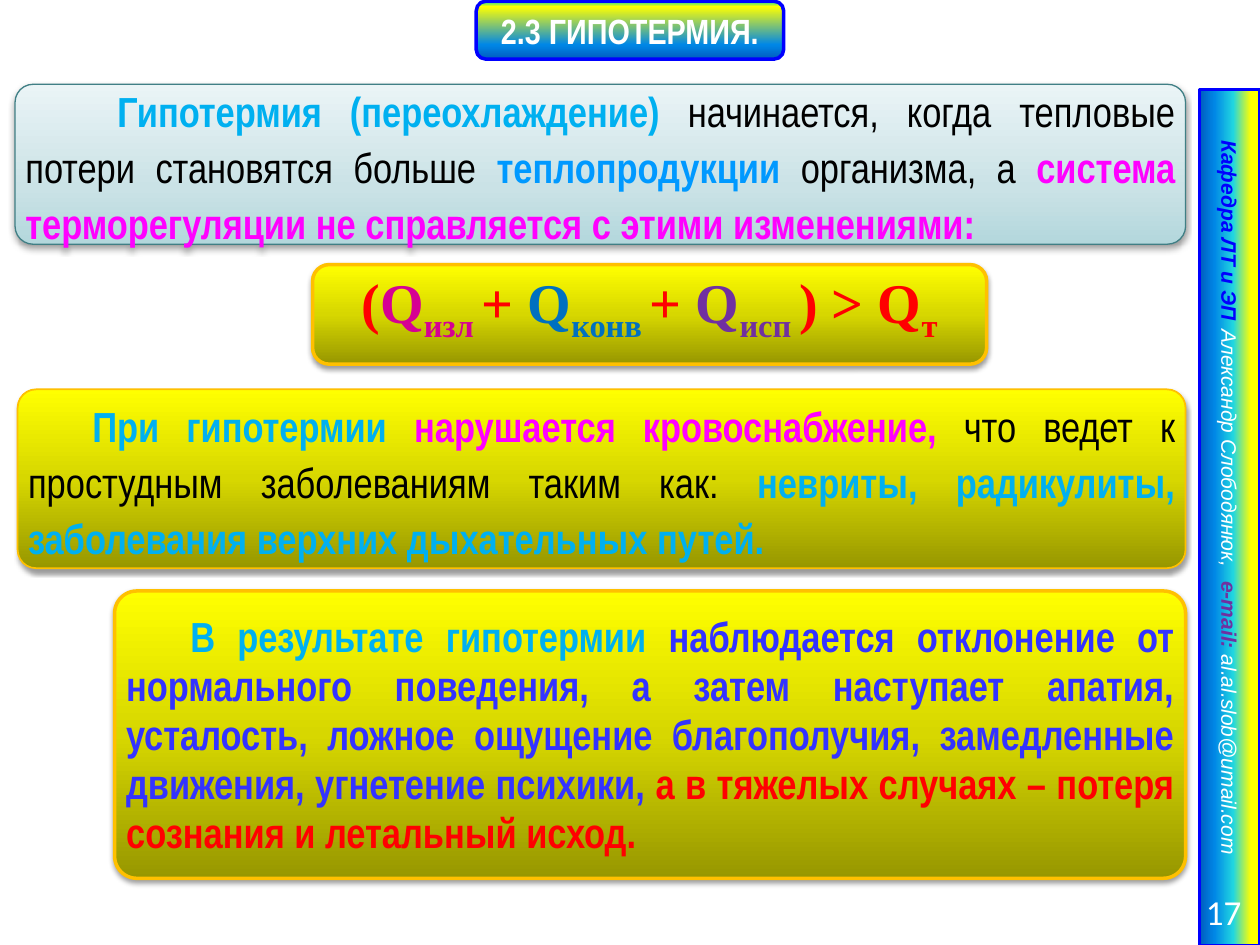
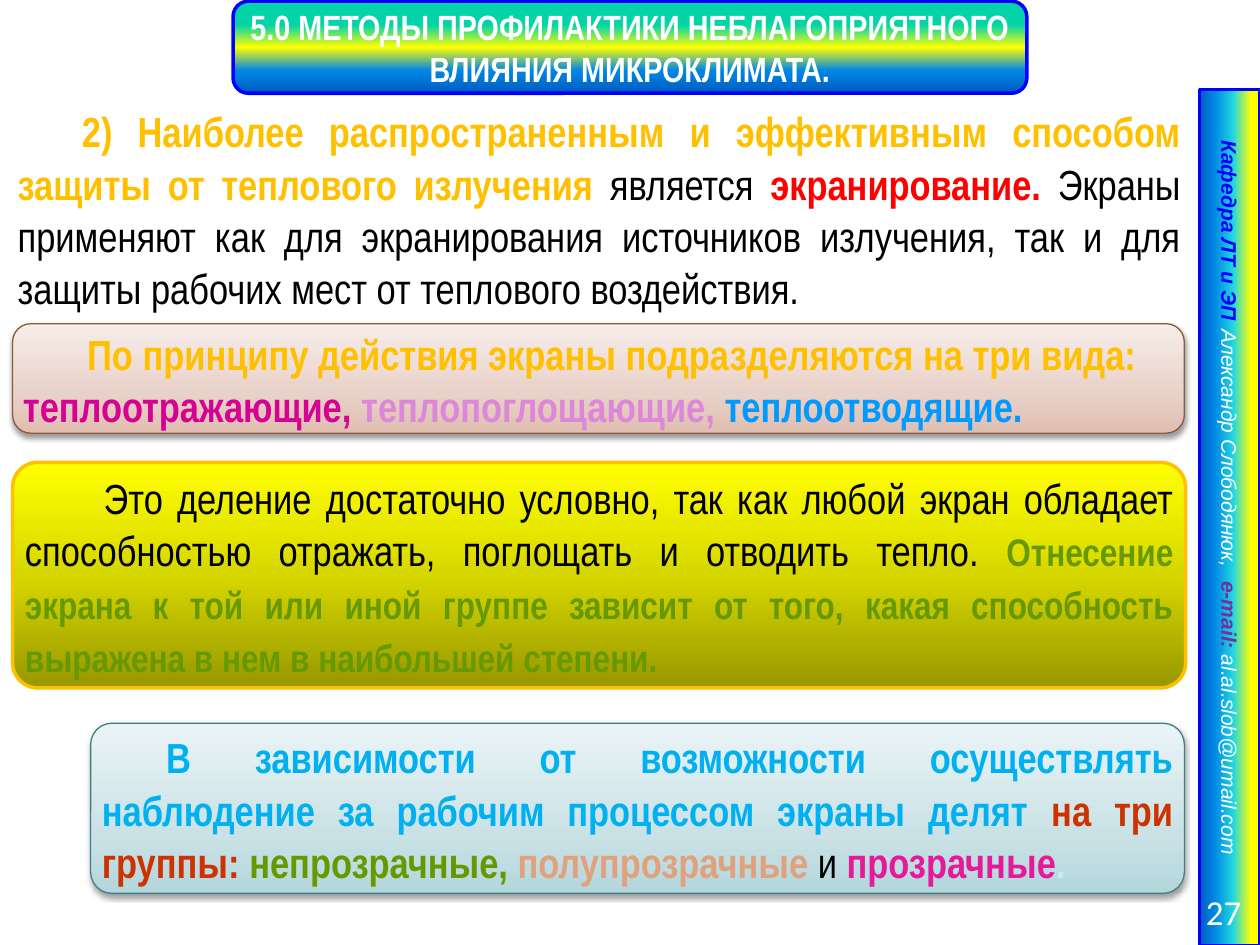
from dataclasses import dataclass
from typing import NamedTuple, Optional

from lxml.etree import SubElement
from pptx import Presentation
from pptx.dml.color import RGBColor
from pptx.enum.shapes import MSO_SHAPE as Preset
from pptx.enum.text import MSO_ANCHOR as Anchor, PP_ALIGN as Align
from pptx.oxml.ns import qn
from pptx.util import Pt


class Gradient(NamedTuple):
    stops: tuple[tuple[int, str], ...]
    angle: int = 270


class Look(NamedTuple):
    gradient: Gradient
    line: str
    line_width: float
    shadow: bool = True


class Box(NamedTuple):
    left: float
    top: float
    width: float
    height: float


class Span(NamedTuple):
    text: str
    color: str
    bold: bool = True
    size: Optional[float] = None
    subscript: bool = False


@dataclass(frozen=True)
class Theme:
    narrow: str = "Arial Narrow"
    serif: str = "Times New Roman"
    sans: str = "Arial"
    number: str = "Calibri"

    title_size: float = 20
    body_size: float = 24
    small_body_size: float = 22
    formula_size: float = 32
    sidebar_size: float = 12
    inset: float = 2.9
    indent: float = 36.7

    black: str = "000000"
    white: str = "FFFFFF"
    red: str = "FF0000"
    blue: str = "0000FF"
    sky: str = "00B0F0"
    azure: str = "0099FF"
    navy: str = "0070C0"
    indigo: str = "3333FF"
    magenta: str = "FF00FF"
    crimson: str = "D60093"
    pink: str = "E61A98"
    violet: str = "7030A0"
    lilac: str = "DD87DB"
    amber: str = "FFC000"
    green: str = "669900"
    brick: str = "CC3300"
    peach: str = "E1A17C"
    pale: str = "C5EAFF"


THEME = Theme()

YELLOW_FADE = Gradient(((0, "979700"), (50, "D7D700"), (100, "FFFF00")))
TEAL_FADE = Gradient(((0, "B3D7DC"), (35, "CAE2E6"), (100, "EAF4F6")))
CLAY_FADE = Gradient(((0, "E0BEB0"), (35, "E8D1C8"), (100, "F7EDEA")))
BLUE_END = ((75, "0087E6"), (100, "005CBF"))
SIDEBAR_FADE = Gradient(((15, "FFFF00"), (44, "21D6E0"), *BLUE_END), 90)

YELLOW = Look(YELLOW_FADE, THEME.amber, 2)
YELLOW_THIN = YELLOW._replace(line_width=1)
YELLOW_FLAT = YELLOW._replace(shadow=False)
TEAL = Look(TEAL_FADE, "407F85", 0.75)
CLAY = Look(CLAY_FADE, "8A5B3A", 0.75)
SIDEBAR = Look(SIDEBAR_FADE, THEME.blue, 2, shadow=False)


@dataclass(frozen=True)
class Panel:
    """A block of text; without a look it is a plain text box."""
    box: Box
    spans: tuple[Span, ...]
    line_spacing: float
    look: Optional[Look] = None
    corner: float = 0.1667
    indent: float = THEME.indent
    align: Align = Align.JUSTIFY
    font: str = THEME.narrow
    size: float = THEME.body_size


@dataclass(frozen=True)
class Page:
    title: str
    title_width: float
    title_height: float
    title_stops: tuple[int, int]
    number: int
    panels: tuple[Panel, ...]


def plain(text: str) -> Span:
    return Span(text, THEME.black, bold=False)


def subscript(text: str, color: str) -> Span:
    return Span(text, color, subscript=True)


def lengths(box: Box) -> list:
    return [Pt(value) for value in box]


def add_block(page, preset: Preset, box: Box, look: Look):
    shape = page.shapes.add_shape(preset, *lengths(box))
    shape.fill.gradient()
    gradient = shape.element.spPr.find(qn("a:gradFill"))
    stop_list = gradient.find(qn("a:gsLst"))
    for old_stop in list(stop_list):
        stop_list.remove(old_stop)
    for position, color in look.gradient.stops:
        stop = SubElement(stop_list, qn("a:gs"), pos=str(position * 1000))
        SubElement(stop, qn("a:srgbClr"), val=color)
    gradient.find(qn("a:lin")).set("ang", str(look.gradient.angle * 60000))
    shape.line.color.rgb = RGBColor.from_string(look.line)
    shape.line.width = Pt(look.line_width)
    shape.shadow.inherit = False
    if look.shadow:
        effects = shape.element.spPr.find(qn("a:effectLst"))
        shadow = SubElement(effects, qn("a:outerShdw"), blurRad="40000",
                            dist="20000", dir="5400000", rotWithShape="0")
        color = SubElement(shadow, qn("a:srgbClr"), val=THEME.black)
        SubElement(color, qn("a:alpha"), val="38000")
    return shape


def write(shape, spans: tuple[Span, ...], *, font: str, size: float,
          align: Align = Align.CENTER, anchor: Anchor = Anchor.MIDDLE,
          insets: tuple = (THEME.inset,) * 4, indent: float = 0,
          line_spacing: Optional[float] = None, italic: bool = False,
          tabs: tuple[float, ...] = ()) -> None:
    frame = shape.text_frame
    frame.word_wrap = True
    frame.vertical_anchor = anchor
    (frame.margin_left, frame.margin_top,
     frame.margin_right, frame.margin_bottom) = [Pt(value) for value in insets]
    para = frame.paragraphs[0]
    para.alignment = align
    if line_spacing:
        para.line_spacing = Pt(line_spacing)
    properties = para._p.get_or_add_pPr()
    properties.set("marL", "0")
    properties.set("indent", str(Pt(indent)))
    if tabs:
        tab_list = SubElement(properties, qn("a:tabLst"))
        for position in tabs:
            SubElement(tab_list, qn("a:tab"), pos=str(Pt(position)), algn="l")
    for span in spans:
        run = para.add_run()
        run.text = span.text
        run.font.name = font
        run.font.size = Pt(span.size or size)
        run.font.bold = span.bold
        run.font.italic = italic
        run.font.color.rgb = RGBColor.from_string(span.color)
        if span.subscript:
            run._r.get_or_add_rPr().set("baseline", "-25000")


def add_panel(page, panel: Panel) -> None:
    anchor, insets = Anchor.MIDDLE, (THEME.inset,) * 4
    if panel.look:
        shape = add_block(page, Preset.ROUNDED_RECTANGLE, panel.box, panel.look)
        shape.adjustments[0] = panel.corner
    else:
        shape = page.shapes.add_textbox(*lengths(panel.box))
        anchor, insets = Anchor.TOP, (THEME.inset,) * 3 + (0,)
    write(shape, panel.spans, font=panel.font, size=panel.size,
          align=panel.align, anchor=anchor, insets=insets,
          indent=panel.indent, line_spacing=panel.line_spacing)


def add_title(page, content: Page, slide_width: float) -> None:
    first, second = content.title_stops
    fade = Gradient(((first, "03D4A8"), (second, "FFFF00"), *BLUE_END), 90)
    box = Box((slide_width - content.title_width) / 2, 0.7,
              content.title_width, content.title_height)
    shape = add_block(page, Preset.ROUNDED_RECTANGLE, box,
                      Look(fade, THEME.blue, 2, shadow=False))
    write(shape, (Span(content.title, THEME.white),),
          font=THEME.narrow, size=THEME.title_size)


def add_sidebar(page, number: int) -> None:
    band = add_block(page, Preset.RECTANGLE, Box(457.9, 278.6, 489.6, 34.6), SIDEBAR)
    band.rotation = 90
    write(band, (
        Span("Кафедра ЛТ и ЭП\t", THEME.blue),
        Span("Александр Слободянюк,\t", THEME.white, bold=False),
        Span("e-mail: ", THEME.violet),
        Span("al.al.slob@umail.com", THEME.white, bold=False),
    ), font=THEME.sans, size=THEME.sidebar_size, align=Align.LEFT,
        insets=(29, 3.6, 0, 3.6), italic=True, tabs=(133, 275.5))
    label = page.shapes.add_textbox(*lengths(Box(637.9, 506.2, 78.5, 28.8)))
    write(label, (Span(str(number), THEME.white, bold=False),),
          font=THEME.number, size=THEME.title_size, align=Align.RIGHT,
          insets=(7.2, 3.6, 7.2, 3.6))


HYPOTHERMIA = Page("2.3 ГИПОТЕРМИЯ.", 175.7, 33.1, (0, 9), 17, (
    Panel(Box(8.6, 48.2, 668.9, 91.4), (
        Span("Гипотермия (переохлаждение) ", THEME.sky),
        plain("начинается, когда тепловые потери становятся больше "),
        Span("теплопродукции ", THEME.azure),
        plain("организма, а "),
        Span("система терморегуляции не справляется с этими изменениями:",
             THEME.magenta),
    ), 32, TEAL, corner=0.113, indent=52.5),
    Panel(Box(178.6, 151.2, 385.2, 56.9), (
        Span("(", THEME.red),
        Span("Q", THEME.crimson), subscript("изл ", THEME.crimson),
        Span("+ ", THEME.red),
        Span("Q", THEME.navy), subscript("конв ", THEME.navy),
        Span("+ ", THEME.red),
        Span("Q", THEME.violet), subscript("исп ", THEME.violet),
        Span(") > Q", THEME.red), subscript("т", THEME.red),
    ), 34, YELLOW, indent=0, align=Align.CENTER,
        font=THEME.serif, size=THEME.formula_size),
    Panel(Box(10.1, 222.5, 667.4, 102.2), (
        Span("При гипотермии ", THEME.sky),
        Span("нарушается кровоснабжение, ", THEME.magenta),
        plain("что ведет к простудным заболеваниям таким как: "),
        Span("невриты, радикулиты, заболевания верхних дыхательных путей.",
             THEME.sky),
    ), 32, YELLOW_THIN, corner=0.103),
    Panel(Box(65.5, 337.7, 612, 164.2), (
        Span("В результате гипотермии ", THEME.sky),
        Span("наблюдается отклонение от нормального поведения, а затем "
             "наступает апатия, усталость, ложное ощущение благополучия, "
             "замедленные движения, угнетение психики, ", THEME.indigo),
        Span("а в тяжелых случаях – потеря сознания и летальный исход.", THEME.red),
    ), 28, YELLOW, corner=0.077),
))

SCREENING = Page(
    "5.0 МЕТОДЫ ПРОФИЛАКТИКИ НЕБЛАГОПРИЯТНОГО ВЛИЯНИЯ МИКРОКЛИМАТА.",
    453.6, 52.6, (26, 50), 27, (
        Panel(Box(7.2, 56.2, 670.3, 128.2), (
            Span("2) Наиболее распространенным и эффективным способом защиты "
                 "от теплового излучения ", THEME.amber),
            plain("является "),
            Span("экранирование. ", THEME.red),
            plain("Экраны применяют как для экранирования источников излучения, "
                  "так и для защиты рабочих мест от теплового воздействия."),
        ), 30),
        Panel(Box(7.2, 185, 669.6, 62.6), (
            Span("По принципу действия экраны подразделяются на три вида: ",
                 THEME.amber),
            Span("теплоотражающие, ", THEME.crimson),
            Span("теплопоглощающие, ", THEME.lilac),
            Span("теплоотводящие.", THEME.azure),
        ), 30, CLAY, align=Align.LEFT),
        Panel(Box(7.2, 264.2, 670.3, 128.9), (
            plain("Это деление достаточно условно, так как любой экран обладает "
                  "способностью отражать, поглощать и отводить тепло. "),
            Span("Отнесение экрана к той или иной группе зависит от того, какая "
                 "способность выражена в нем в наибольшей степени.",
                 THEME.green, size=THEME.small_body_size),
        ), 30, YELLOW_FLAT, corner=0.111, indent=45),
        Panel(Box(51.8, 413.3, 625, 97.2), (
            Span("В зависимости от возможности осуществлять наблюдение за "
                 "рабочим процессом экраны делят ", THEME.sky),
            Span("на три группы: ", THEME.brick),
            Span("непрозрачные, ", THEME.green),
            Span("полупрозрачные ", THEME.peach),
            plain("и "),
            Span("прозрачные", THEME.pink),
            Span(".", THEME.pale),
        ), 30, TEAL, corner=0.125),
    ))


def main() -> None:
    deck = Presentation()
    deck.slide_width, deck.slide_height = Pt(720), Pt(540)
    for content in (HYPOTHERMIA, SCREENING):
        page = deck.slides.add_slide(deck.slide_layouts[6])
        add_title(page, content, deck.slide_width.pt)
        add_sidebar(page, content.number)
        for panel in content.panels:
            add_panel(page, panel)
    deck.save("out.pptx")


if __name__ == "__main__":
    main()
